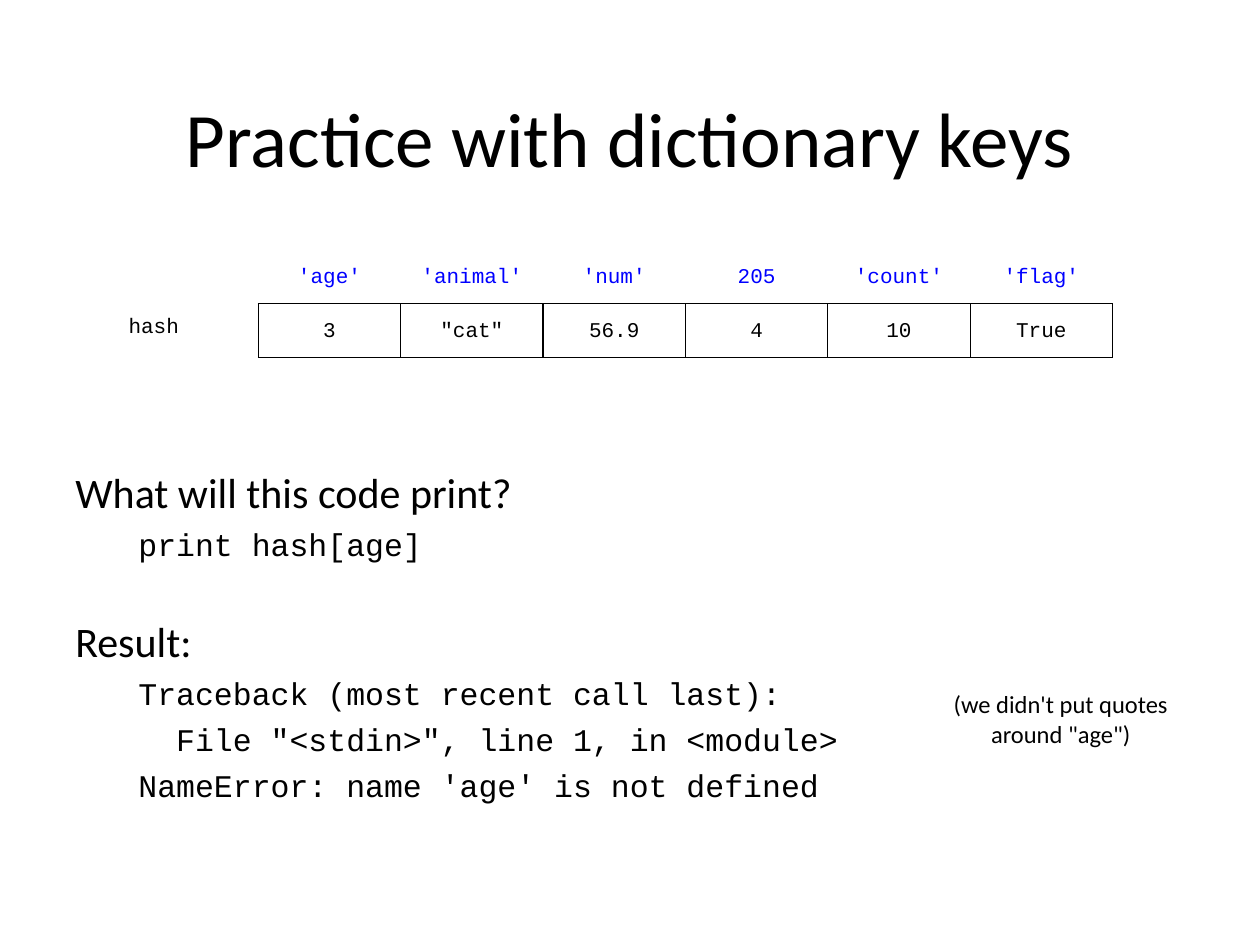
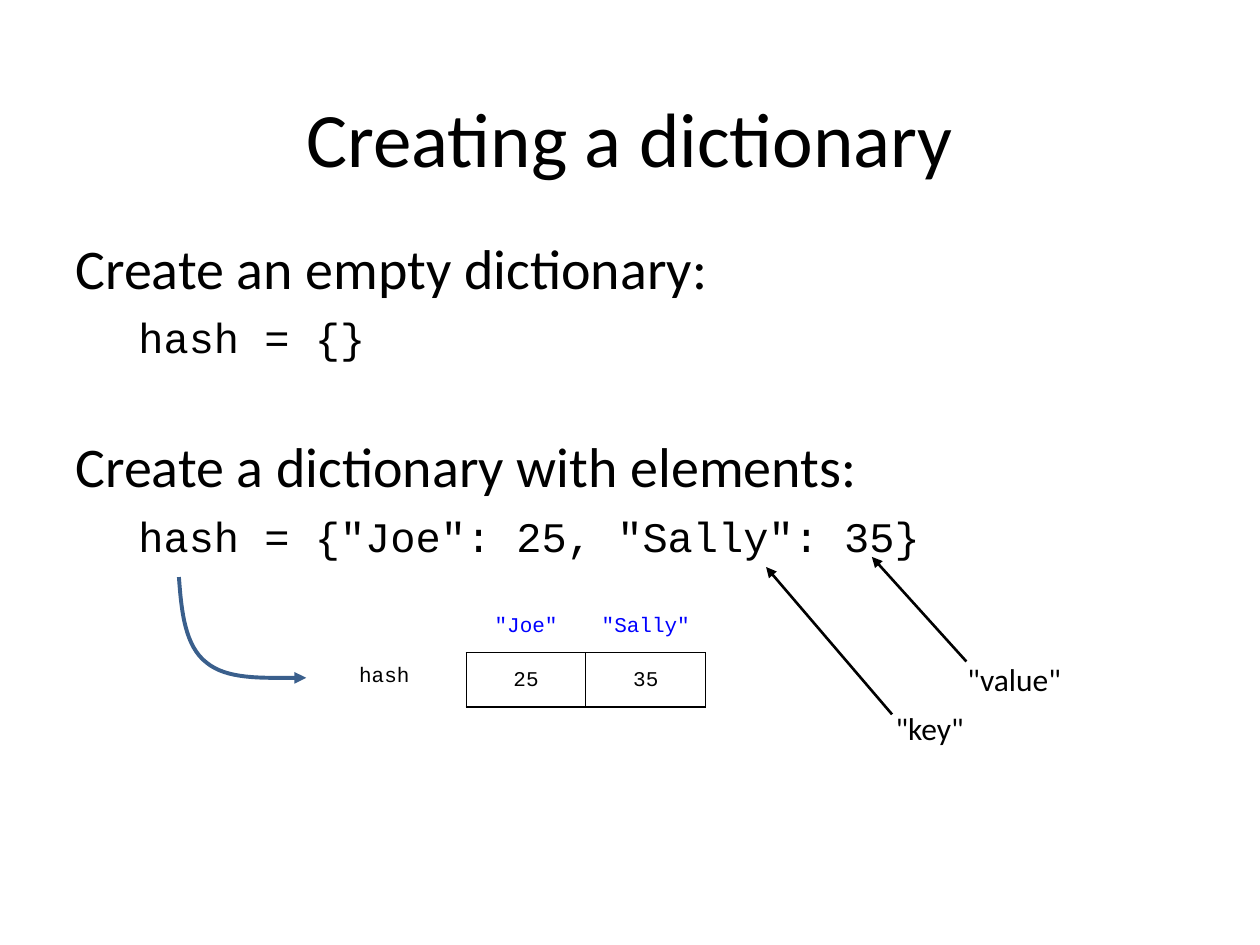
"""Build two slides that teach dictionary keys and dictionary creation."""
import dataclasses

import lxml.etree
import pptx
import pptx.dml.color
import pptx.enum.shapes
import pptx.enum.text
import pptx.oxml.ns
import pptx.util

PX = 9144
ALIGN = pptx.enum.text.PP_ALIGN
ANCHOR = pptx.enum.text.MSO_ANCHOR
qn = pptx.oxml.ns.qn


@dataclasses.dataclass(frozen=True)
class Theme:
    """Colours, fonts, type sizes and line widths of the deck."""
    ink: str = "000000"
    key: str = "0000FF"
    curve: str = "3A5F8C"
    prose: str = "Calibri"
    code: str = "Courier New"
    title_size: int = 44
    cell_size: int = 12
    note_size: int = 14
    label_size: int = 18
    border_width: float = 0.75
    arrow_width: float = 1.5
    curve_width: float = 2.25
    inset: int = 10
    code_indent: int = 50
    no_style: str = "{2D5ABB26-0587-4C30-8999-92F81FD0307C}"


class Deck:
    """Holds the theme and the current slide, and draws each kind of element."""

    def __init__(self, theme):
        self.theme = theme
        self.presentation = pptx.Presentation()
        self.presentation.slide_width = 1000 * PX
        self.presentation.slide_height = 750 * PX
        self.slide = None

    def add_slide(self, title):
        self.slide = self.presentation.slides.add_slide(self.presentation.slide_layouts[6])
        frame = self.text_frame(50, 30, 900, 125, self.theme.inset)
        frame.vertical_anchor = ANCHOR.BOTTOM
        self.add_text(frame.paragraphs[0], title, self.theme.title_size, align=ALIGN.CENTER)

    def text_frame(self, left, top, width, height, vertical_inset=5, wrap=True):
        box = self.slide.shapes.add_textbox(left * PX, top * PX, width * PX, height * PX)
        frame = box.text_frame
        frame.word_wrap = wrap
        frame.margin_left = frame.margin_right = self.theme.inset * PX
        frame.margin_top = frame.margin_bottom = vertical_inset * PX
        return frame

    def add_text(self, paragraph, text, size, font=None, color=None, align=ALIGN.LEFT):
        paragraph.alignment = align
        run = paragraph.add_run()
        run.text = text
        run.font.size = pptx.util.Pt(size)
        run.font.name = font or self.theme.prose
        run.font.color.rgb = pptx.dml.color.RGBColor.from_string(color or self.theme.ink)

    def note(self, text, left, top, width, height, size, align=ALIGN.LEFT, wrap=True):
        frame = self.text_frame(left, top, width, height, wrap=wrap)
        self.add_text(frame.paragraphs[0], text, size, align=align)

    def body(self, top, height, heading_size, code_size, sections):
        frame = self.text_frame(50, top, 900, height, self.theme.inset)
        paragraph = frame.paragraphs[0]
        for number, (heading, code_lines) in enumerate(sections):
            if number:
                paragraph = frame.add_paragraph()
                paragraph.space_before = pptx.util.Pt(heading_size * 1.25)
            self.add_text(paragraph, heading, heading_size)
            for line, extra_indent in code_lines:
                paragraph = frame.add_paragraph()
                paragraph.space_before = pptx.util.Pt(heading_size * 0.2)
                indent = (self.theme.code_indent + extra_indent) * PX
                paragraph._p.get_or_add_pPr().set("marL", str(indent))
                self.add_text(paragraph, line, code_size, self.theme.code)

    def dictionary_table(self, left, top, column_width, entries):
        row_heights = (42, 43)
        columns = len(entries) + 1
        table = self.slide.shapes.add_table(
            2, columns, left * PX, top * PX,
            columns * column_width * PX, sum(row_heights) * PX).table
        table.first_row = table.horz_banding = False
        table._tbl.tblPr.find(qn("a:tableStyleId")).text = self.theme.no_style
        for column in table.columns:
            column.width = column_width * PX
        for row, height in zip(table.rows, row_heights):
            row.height = height * PX
        self.cell(table.cell(0, 0), "", "")
        self.cell(table.cell(1, 0), "hash", "R", align=ALIGN.LEFT, spacing=1.0)
        for column, (key, value) in enumerate(entries, 1):
            self.cell(table.cell(0, column), key, "B", self.theme.key)
            self.cell(table.cell(1, column), value, "LRTB")

    def cell(self, cell, text, sides, color=None, align=ALIGN.CENTER, spacing=1.15):
        cell.margin_left = cell.margin_right = self.theme.inset * PX
        cell.margin_top = cell.margin_bottom = self.theme.inset * PX
        paragraph = cell.text_frame.paragraphs[0]
        paragraph.line_spacing = spacing
        if text:
            self.add_text(paragraph, text, self.theme.cell_size, self.theme.code, color, align)
        else:
            paragraph.font.size = pptx.util.Pt(self.theme.cell_size)
        properties = cell._tc.get_or_add_tcPr()
        for side in "LRTB":
            border = lxml.etree.SubElement(properties, qn("a:ln" + side))
            if side in sides:
                border.set("w", str(int(pptx.util.Pt(self.theme.border_width))))
                fill = lxml.etree.SubElement(border, qn("a:solidFill"))
                lxml.etree.SubElement(fill, qn("a:srgbClr")).set("val", self.theme.ink)
            else:
                lxml.etree.SubElement(border, qn("a:noFill"))
        cell.fill.background()

    def stroke(self, shape, color, width, arrow_end):
        shape.line.color.rgb = pptx.dml.color.RGBColor.from_string(color)
        shape.line.width = pptx.util.Pt(width)
        line = shape._element.spPr.find(qn("a:ln"))
        lxml.etree.SubElement(line, qn("a:" + arrow_end)).set("type", "triangle")

    def arrow(self, tip, foot):
        connector = self.slide.shapes.add_connector(
            pptx.enum.shapes.MSO_CONNECTOR.STRAIGHT,
            *(length * PX for length in tip + foot))
        self.stroke(connector, self.theme.ink, self.theme.arrow_width, "headEnd")
        lxml.etree.SubElement(connector._element.spPr, qn("a:effectLst"))

    def curved_arrow(self, start, points):
        builder = self.slide.shapes.build_freeform(*start, scale=PX)
        builder.add_line_segments(points, close=False)
        shape = builder.convert_to_shape()
        segments = list(shape._element.iter(qn("a:lnTo")))
        outline = segments[0].getparent()
        for first in range(0, len(segments), 3):
            bezier = lxml.etree.SubElement(outline, qn("a:cubicBezTo"))
            for segment in segments[first:first + 3]:
                bezier.append(segment[0])
                outline.remove(segment)
        shape.fill.background()
        shape.shadow.inherit = False
        self.stroke(shape, self.theme.curve, self.theme.curve_width, "tailEnd")


def main():
    theme = Theme()
    deck = Deck(theme)

    deck.add_slide("Practice with dictionary keys")
    deck.body(360, 310, 24, 18, [
        ("What will this code print?", [("print hash[age]", 0)]),
        ("Result:", [
            ("Traceback (most recent call last):", 0),
            ('File "<stdin>", line 1, in <module>', 30),
            ("NameError: name 'age' is not defined", 0),
        ]),
    ])
    deck.dictionary_table(92, 198, 113, [
        ("'age'", "3"), ("'animal'", '"cat"'), ("'num'", "56.9"),
        ("205", "4"), ("'count'", "10"), ("'flag'", "True"),
    ])
    deck.note('(we didn\'t put quotes around "age")', 717, 542, 250, 57,
              theme.note_size, ALIGN.CENTER)

    deck.add_slide("Creating a dictionary")
    deck.body(175, 495, 32, 24, [
        ("Create an empty dictionary:", [("hash = {}", 0)]),
        ("Create a dictionary with elements:", [('hash = {"Joe": 25, "Sally": 35}', 0)]),
    ])
    deck.dictionary_table(275, 475, 95, [('"Joe"', "25"), ('"Sally"', "35")])
    deck.curved_arrow((142, 458), [(144, 486), (147, 513), (164, 526),
                                   (180, 539), (212, 538), (243, 538)])
    deck.arrow((608, 450), (708, 567))
    deck.arrow((692, 442), (767, 525))
    deck.note('"key"', 701, 558, 76, 40, theme.label_size, wrap=False)
    deck.note('"value"', 758, 519, 96, 40, theme.label_size, wrap=False)

    deck.presentation.save("out.pptx")


if __name__ == "__main__":
    main()
